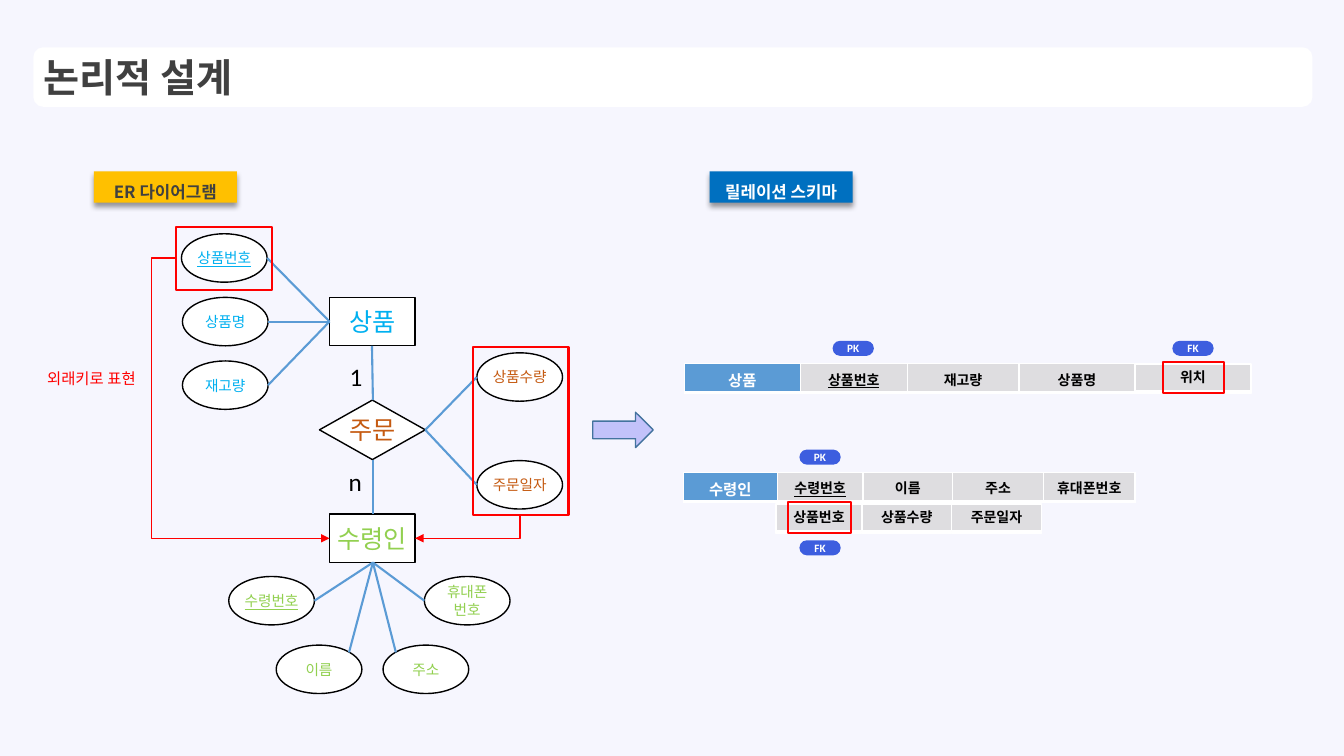
from lxml.etree import SubElement
from pptx import Presentation
from pptx.dml.color import RGBColor
from pptx.enum.shapes import MSO_CONNECTOR, MSO_SHAPE
from pptx.enum.text import MSO_ANCHOR, MSO_AUTO_SIZE, PP_ALIGN
from pptx.oxml import parse_xml
from pptx.oxml.ns import nsdecls, qn
from pptx.util import Pt

RECT, ROUND, OVAL = MSO_SHAPE.RECTANGLE, MSO_SHAPE.ROUNDED_RECTANGLE, MSO_SHAPE.OVAL
DIAMOND, ARROW = MSO_SHAPE.DIAMOND, MSO_SHAPE.RIGHT_ARROW
STRAIGHT, ELBOW = MSO_CONNECTOR.STRAIGHT, MSO_CONNECTOR.ELBOW
TOP, MIDDLE = MSO_ANCHOR.TOP, MSO_ANCHOR.MIDDLE
LEFT, CENTER = PP_ALIGN.LEFT, PP_ALIGN.CENTER
GROW, FIXED = MSO_AUTO_SIZE.SHAPE_TO_FIT_TEXT, MSO_AUTO_SIZE.NONE
KOREAN, LATIN = "Noto Sans CJK KR", "Calibri"
WHITE, BLACK, DARK, RED = "FFFFFF", "000000", "404040", "FF0000"
SKY, ORANGE, GREEN, BLUE = "00B0F0", "C55A11", "92D050", "5B9BD5"
GRAY, PILL = "DEDDE0", "3D5EDF"
NODE_W, NODE_H = 61.2, 34.6

deck = Presentation()
deck.slide_width, deck.slide_height = Pt(960), Pt(540)
page = deck.slides.add_slide(deck.slide_layouts[5])
page.background.fill.solid()
page.background.fill.fore_color.rgb = RGBColor.from_string("F6F6FE")


def draw(kind, bounds, fill=None, line=None, width=1):
    """Add a preset shape with the given fill and outline colours."""
    shape = page.shapes.add_shape(kind, *[Pt(length) for length in bounds])
    shape.shadow.inherit = False
    for paint, color in ((shape.fill, fill), (shape.line.fill, line)):
        if color:
            paint.solid()
            paint.fore_color.rgb = RGBColor.from_string(color)
        else:
            paint.background()
    if line:
        shape.line.width = Pt(width)
    return shape


def write(frame, text, size, color, bold=False, underline=False, font=LATIN,
          align=CENTER, anchor=MIDDLE, insets=None):
    """Fill a text frame, one paragraph for each line of text."""
    frame.vertical_anchor = anchor
    if insets:
        (frame.margin_left, frame.margin_top,
         frame.margin_right, frame.margin_bottom) = [Pt(inset) for inset in insets]
    for index, line in enumerate(text.split("\n")):
        para = frame.add_paragraph() if index else frame.paragraphs[0]
        para.alignment = align
        span = para.add_run()
        span.text = line
        span.font.size, span.font.name = Pt(size), font
        span.font.bold, span.font.underline = bold, underline
        span.font.color.rgb = RGBColor.from_string(color)


# Title on its white panel
title_bounds = (23.8, 33.8, 913.7, 42.5)
panel = draw(ROUND, title_bounds, WHITE)
title = page.shapes.title
title.left, title.top, title.width, title.height = [Pt(length) for length in title_bounds]
title.element.addprevious(panel.element)
title.text_frame.auto_size = FIXED
write(title.text_frame, "논리적 설계", 28, DARK, True, font=KOREAN, align=LEFT)

# Section badges
for text, left, fill, color in (("ER 다이어그램", 67, "FFC000", DARK),
                                ("릴레이션 스키마", 506.9, "0070C0", WHITE)):
    badge = draw(RECT, (left, 122.4, 102.2, 22.3), fill)
    write(badge.text_frame, text, 12, color, True, font=KOREAN, anchor=TOP,
          insets=(0, 0, 0, 3.6))
    badge.text_frame.paragraphs[0].line_spacing = 1.5
    badge.text_frame.auto_size = GROW
    effects = badge.element.spPr.find(qn("a:effectLst"))
    effects.append(parse_xml(
        f'<a:outerShdw {nsdecls("a")} blurRad="50800" dist="38100" dir="5400000">'
        '<a:srgbClr val="000000"><a:alpha val="40000"/></a:srgbClr></a:outerShdw>'))

draw(ARROW, (423.4, 294.5, 43.2, 25.2), "C2C2FA", "43739E")

# Entities and the relationship
for kind, text, bounds, color in (
        (RECT, "상품", (235.4, 212.4, NODE_W, NODE_H), SKY),
        (DIAMOND, "주문", (228.2, 285.8, 75.6, 42.5), ORANGE),
        (RECT, "수령인", (235.4, 367.2, NODE_W, NODE_H), GREEN)):
    node = draw(kind, bounds, WHITE, BLACK)
    font = KOREAN if text == "수령인" else LATIN
    write(node.text_frame, text, 18, color, font=font, insets=(0, 0, 0, 0))

# Attributes: text, left, top, key, and the joint as fractions of the ellipse
links = [((266.4, 285.8), (265.7, 247)), ((266.4, 367.2), (266.4, 328.3))]
for color, joint, attributes in (
        (SKY, (235.4, 229.7), (("상품번호", 129.6, 167, True, 1, 0.5),
                               ("상품명", 130.3, 212.4, False, 1, 0.5),
                               ("재고량", 130.3, 257.8, False, 1, 0.5))),
        (ORANGE, (303.8, 307.1), (("상품수량", 340.6, 252, False, 0, 0.5),
                                  ("주문일자", 340.6, 329, False, 0, 0.5))),
        (GREEN, (266.4, 401.8), (("수령번호", 163.4, 411.8, True, 1, 0.5),
                                 ("휴대폰\n번호", 303.1, 411.8, False, 0, 0.5),
                                 ("주소", 273.6, 460.8, False, 0.15, 0.15),
                                 ("이름", 197.3, 460.8, False, 0.85, 0.15)))):
    for text, left, top, key, across, down in attributes:
        oval = draw(OVAL, (left, top, NODE_W, NODE_H), WHITE, BLACK)
        write(oval.text_frame, text, 10.5, color, underline=key, insets=(0, 0, 0, 0))
        links.append(((left + across * NODE_W, top + down * NODE_H), joint))

# Plain links, then the two foreign key arrows
for kind, color, width, preset, arrow, ends in (
        [(STRAIGHT, BLUE, 1.5, None, None, ends) for ends in links]
        + [(ELBOW, RED, 1, "bentConnector3", "a:tailEnd", ((126, 184.3), (235.4, 384.5))),
           (ELBOW, RED, 1, "bentConnector2", "a:headEnd", ((296.6, 384.5), (371.5, 367.9)))]):
    link = page.shapes.add_connector(kind, *[Pt(value) for end in ends for value in end])
    link.line.color.rgb = RGBColor.from_string(color)
    link.line.width = Pt(width)
    properties = link.element.spPr
    if arrow:
        SubElement(properties.find(qn("a:ln")), qn(arrow), type="triangle")
        geometry = properties.find(qn("a:prstGeom"))
        geometry.set("prst", preset)
        if preset == "bentConnector3":
            SubElement(geometry.find(qn("a:avLst")), qn("a:gd"), name="adj1", fmla="val -16400")
    SubElement(properties, qn("a:effectLst"))

# Free labels
for text, bounds, size, color in (("1", (242.6, 254.2, 23.8, 28.8), 18, BLACK),
                                  ("n", (241.9, 329.8, 24.5, 28.8), 18, BLACK),
                                  ("외래키로 표현", (26.6, 259.9, 83.5, 20.9), 11, RED)):
    label = page.shapes.add_textbox(*[Pt(length) for length in bounds])
    label.text_frame.word_wrap = False
    label.text_frame.auto_size = GROW
    write(label.text_frame, text, size, color, align=LEFT, anchor=TOP)

# Relation schemas: the first name is the relation, the second its key
for left, top, side, names, widths in (
        (488.9, 259.9, 0, ("상품", "상품번호", "재고량", "상품명"), (82.8, 76.3, 79.9, 82.8)),
        (488.2, 337.7, 7.2, ("수령인", "수령번호", "이름", "주소", "휴대폰번호"),
         (67, 61.2, 64.1, 64.8, 65.5))):
    frame = page.shapes.add_table(1, len(names), Pt(left), Pt(top), Pt(sum(widths)), Pt(15.1))
    table = frame.table
    table.first_row = table.horz_banding = False
    for index, (name, width) in enumerate(zip(names, widths)):
        table.columns[index].width = Pt(width)
        cell = table.cell(0, index)
        cell.fill.solid()
        cell.fill.fore_color.rgb = RGBColor.from_string(GRAY if index else BLUE)
        cell.margin_left = cell.margin_right = Pt(side)
        cell.margin_top = cell.margin_bottom = Pt(3.6)
        size, color = (10, BLACK) if index else (11, WHITE)
        write(cell.text_frame, name, size, color, True, index == 1, anchor=None)
    for properties in frame.element.iter(qn("a:tcPr")):
        for place, (edge, width) in enumerate((("L", 1), ("R", 1), ("T", 1), ("B", 3))):
            properties.insert(place, parse_xml(
                f'<a:ln{edge} {nsdecls("a")} w="{Pt(width)}"><a:solidFill>'
                f'<a:srgbClr val="{WHITE}"/></a:solidFill></a:ln{edge}>'))

# Columns added by the relationship
for text, left, top, width in (("위치", 810.7, 259.9, 82.8), ("상품번호", 554.4, 360, 61.2),
                               ("상품수량", 615.6, 360, 64.1), ("주문일자", 679.7, 360, 64.1)):
    draw(RECT, (left, top + 17.6, width, 3.6), WHITE, WHITE)
    column = draw(RECT, (left, top, width, 19.4), GRAY, WHITE)
    write(column.text_frame, text, 10, BLACK, True, anchor=TOP)
    column.text_frame.auto_size = GROW

# Key pills
for text, left, top in (("PK", 594.7, 243.4), ("FK", 837.4, 243.4),
                        ("PK", 571, 321.1), ("FK", 571, 385.9)):
    pill = draw(ROUND, (left, top, 29.5, 10.8), PILL)
    pill.adjustments[0] = 0.5
    write(pill.text_frame, text, 8, WHITE, True)

# Red frames around the foreign keys and their sources
for bounds in ((830.9, 258.5, 43.2, 22.3), (563, 358.6, 44.6, 22.3),
               (126, 162, 68.4, 45.4), (337.7, 247.7, 68.4, 120.2)):
    draw(RECT, bounds, line=RED, width=1.5)

# Korean glyphs take the Korean face
for latin in page.element.iter(qn("a:latin")):
    latin.addnext(parse_xml(f'<a:ea {nsdecls("a")} typeface="{KOREAN}"/>'))

deck.save("out.pptx")
